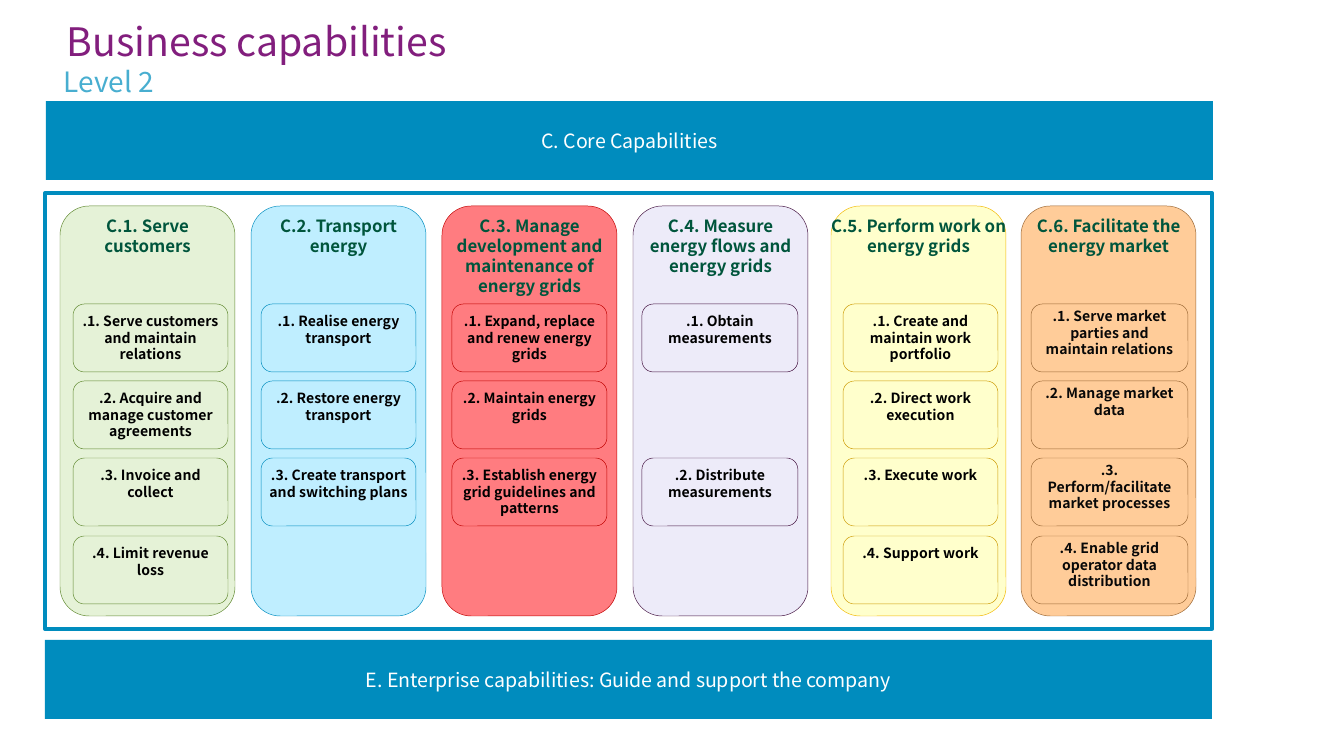
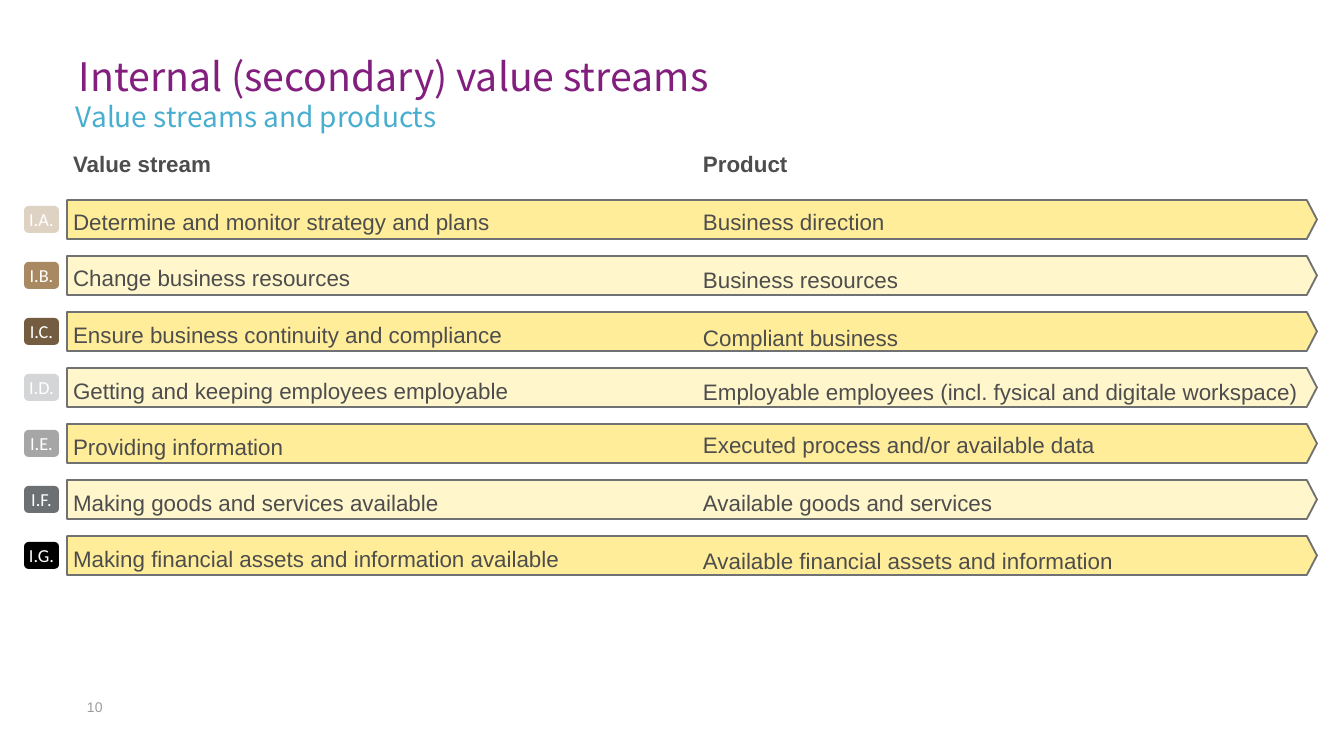
from collections import namedtuple

from pptx import Presentation
from pptx.dml.color import RGBColor
from pptx.enum.shapes import MSO_SHAPE as Preset
from pptx.enum.text import MSO_ANCHOR as Anchor, PP_ALIGN as Align
from pptx.util import Emu, Pt

BRAND_FONT = "Noto Sans CJK TC"
BODY_FONT = "Arial"
CHIP_FONT = "Calibri"
PURPLE, SKY, BLUE, WHITE = "821E7D", "48AED0", "008CBE", "FFFFFF"
HEADING_GREEN, BLACK = "00553C", "000000"
BODY_GREY, PAGE_GREY, OUTLINE_GREY = "4D4D4D", "9E9C9E", "707173"
STREAM_YELLOWS = ("FFED99", "FFF6CC")

Style = namedtuple("Style", "font size color bold", defaults=(False,))
TITLE = Style(BRAND_FONT, 21, PURPLE)
SUBTITLE = Style(BRAND_FONT, 15, SKY)
BAND = Style(BRAND_FONT, 10.5, WHITE)
HEADING = Style(BRAND_FONT, 9, HEADING_GREEN, True)
ITEM = Style(BRAND_FONT, 7.5, BLACK, True)
CHIP = Style(CHIP_FONT, 9.8, WHITE)
BODY = Style(BODY_FONT, 12, BODY_GREY)
PAGE = Style(BODY_FONT, 7.5, PAGE_GREY)

COLUMN_TOP, COLUMN_WIDTH, COLUMN_HEIGHT = 206, 175, 410
ITEM_TOP, ITEM_HEIGHT, THREE_ROWS = 304, 68, 232
STREAM_TOP, STREAM_PITCH, STREAM_HEIGHT = 200, 56, 39

Capability = namedtuple(
    "Capability",
    "left heading items item_left item_width fill line item_line "
    "first_side side item_top_inset item_color wrap",
    defaults=(0, 0, 5, BLACK, True))

CAPABILITIES = [
    Capability(60, ["C.1. Serve", "customers"],
               [".1. Serve customers and maintain relations",
                ".2. Acquire and manage customer agreements",
                ".3. Invoice and collect",
                ".4. Limit revenue loss"],
               73, 155, "E5F2D7", "5E872D", "5E872D", side=9),
    Capability(251, ["C.2. Transport energy"],
               [".1. Realise energy transport",
                ".2. Restore energy transport",
                ".3. Create transport and switching plans"],
               261, 155, "BFEEFF", BLUE, BLUE),
    Capability(442, ["C.3. Manage development and maintenance of energy grids"],
               [".1. Expand, replace and renew energy grids",
                ".2. Maintain energy grids",
                ".3. Establish energy grid guidelines and patterns"],
               452, 155, "FF7C80", "C00000", "C00000"),
    Capability(633, ["C.4. Measure energy flows and energy grids"],
               [".1. Obtain measurements", None, ".2. Distribute measurements"],
               642, 156, "EDEBF9", "410F3E", "410F3E"),
    Capability(831, ["C.5. Perform work on", "energy grids"],
               [".1. Create and maintain work portfolio",
                ".2. Direct work execution",
                ".3. Execute work",
                ".4. Support work"],
               843, 155, "FFFFCC", "F2B800", "CC9900",
               first_side=4, side=9, wrap=False),
    Capability(1021, ["C.6. Facilitate the energy market"],
               [".1. Serve market parties and maintain relations",
                ".2. Manage market data",
                ".3. Perform/facilitate market processes",
                ".4. Enable grid operator data distribution"],
               1031, 157, "FFCC99", "996633", "996633",
               first_side=9, side=9, item_top_inset=0, item_color="080808"),
]

STREAMS = [
    ("I.A.", "DED2C3", "Determine and monitor strategy and plans",
     "Business direction"),
    ("I.B.", "A98962", "Change business resources", "Business resources"),
    ("I.C.", "735C3F", "Ensure business continuity and compliance",
     "Compliant business"),
    ("I.D.", "D4D5D6", "Getting and keeping employees employable",
     "Employable employees (incl. fysical and digitale workspace)"),
    ("I.E.", "A6A6A6", "Providing information",
     "Executed process and/or available data"),
    ("I.F.", "6D7073", "Making goods and services available",
     "Available goods and services"),
    ("I.G.", BLACK, "Making financial assets and information available",
     "Available financial assets and information"),
]


def px(length):
    """Turn pixels into EMU."""
    return Emu(round(length * 9144000 / 1344))


def rgb(code):
    """Turn a hex string into a colour."""
    return RGBColor.from_string(code)


def write(shape, lines, style, align=Align.LEFT, anchor=Anchor.TOP,
          insets=(0, 0, 0, 0), wrap=True):
    """Write one paragraph per line and return the paragraphs."""
    frame = shape.text_frame
    frame.word_wrap = wrap
    frame.vertical_anchor = anchor
    (frame.margin_left, frame.margin_top,
     frame.margin_right, frame.margin_bottom) = map(px, insets)
    frame.text = "\n".join(lines)
    for paragraph in frame.paragraphs:
        paragraph.alignment = align
        font = paragraph.font
        font.name, font.size, font.bold = style.font, Pt(style.size), style.bold
        font.color.rgb = rgb(style.color)
    return frame.paragraphs


def add_text(slide, box, lines, style):
    """Add a text box and return its paragraphs."""
    return write(slide.shapes.add_textbox(*map(px, box)), lines, style)


def add_panel(slide, preset, box, fill=None, line=None, weight=0.25):
    """Add a preset shape with an optional fill and outline."""
    panel = slide.shapes.add_shape(preset, *map(px, box))
    panel.shadow.inherit = False
    if fill:
        panel.fill.solid()
        panel.fill.fore_color.rgb = rgb(fill)
    else:
        panel.fill.background()
    if line:
        panel.line.color.rgb = rgb(line)
        panel.line.width = Pt(weight)
    else:
        panel.line.fill.background()
    return panel


def add_titles(slide, left, top, title, subtitle):
    """Add the title and the subtitle below it."""
    add_text(slide, (left, top, 978, 52), [title], TITLE)[0].line_spacing = Pt(28)
    add_text(slide, (left - 3, top + 46, 1015, 30), [subtitle],
             SUBTITLE)[0].line_spacing = 1.2


def add_band(slide, left, top, label):
    """Add a full-width blue band."""
    band = add_panel(slide, Preset.RECTANGLE, (left, top, 1167, 79), BLUE)
    write(band, [label], BAND, Align.CENTER, Anchor.MIDDLE, (9, 5, 9, 5))


def add_capability(slide, capability):
    """Add a capability column with its items."""
    column = add_panel(
        slide, Preset.ROUNDED_RECTANGLE,
        (capability.left, COLUMN_TOP, COLUMN_WIDTH, COLUMN_HEIGHT),
        capability.fill, capability.line)
    write(column, capability.heading, HEADING, Align.CENTER,
          insets=(0, 1, 0, 5), wrap=capability.wrap)
    for row, label in enumerate(capability.items):
        if not label:
            continue
        top = ITEM_TOP + row * THREE_ROWS // 3
        item = add_panel(
            slide, Preset.ROUNDED_RECTANGLE,
            (capability.item_left, top, capability.item_width, ITEM_HEIGHT),
            capability.fill, capability.item_line)
        side = capability.side if row else capability.first_side
        write(item, [label], ITEM._replace(color=capability.item_color),
              Align.CENTER, insets=(side, capability.item_top_inset, side, 5))


def add_stream(slide, row, code, chip_fill):
    """Add the arrow bar and the code chip of one value stream."""
    top = STREAM_TOP + row * STREAM_PITCH
    arrow = add_panel(slide, Preset.PENTAGON, (67, top, 1250, STREAM_HEIGHT),
                      STREAM_YELLOWS[row % 2], OUTLINE_GREY, 1)
    arrow.adjustments[0] = 0.26
    chip = add_panel(slide, Preset.ROUNDED_RECTANGLE, (24, top + 6, 35, 27), chip_fill)
    write(chip, [code], CHIP, Align.CENTER, Anchor.MIDDLE, (0, 7, 0, 7))


def add_listing(slide, left, width, header, entries, gap, tight_gap, tight_rows=()):
    """Add a bold header with one line per value stream."""
    paragraphs = add_text(slide, (left, 137, width, 501), [header, *entries], BODY)
    paragraphs[0].font.bold = True
    for row, paragraph in enumerate(paragraphs):
        paragraph.line_spacing = 1.5
        paragraph.space_after = Pt(tight_gap if row in tight_rows else gap)
        if row:
            paragraph.space_before = Pt(5)


def build_capabilities(slide):
    """Build the map of business capabilities."""
    add_titles(slide, 67, 12, "Business capabilities", "Level 2")
    add_band(slide, 46, 101, "C. Core Capabilities")
    add_band(slide, 45, 640, "E. Enterprise capabilities: Guide and support the company")
    add_panel(slide, Preset.RECTANGLE, (45, 193, 1167, 436), WHITE, BLUE, 2)
    for capability in CAPABILITIES:
        add_capability(slide, capability)


def build_streams(slide):
    """Build the list of value streams and products."""
    add_text(slide, (87, 699, 52, 32), ["10"], PAGE)
    for row, (code, chip_fill, _, _) in enumerate(STREAMS):
        add_stream(slide, row, code, chip_fill)
    _, _, names, products = zip(*STREAMS)
    add_listing(slide, 703, 634, "Product", products, 4.5, 2, (3, 4))
    add_listing(slide, 73, 991, "Value stream", names, 3.5, 4.5, (0,))
    add_titles(slide, 79, 47, "Internal (secondary) value streams",
               "Value streams and products")


def main():
    """Build and save the presentation."""
    deck = Presentation()
    deck.slide_width, deck.slide_height = px(1344), px(756)
    for build in (build_capabilities, build_streams):
        build(deck.slides.add_slide(deck.slide_layouts[6]))
    deck.save("out.pptx")


if __name__ == "__main__":
    main()
